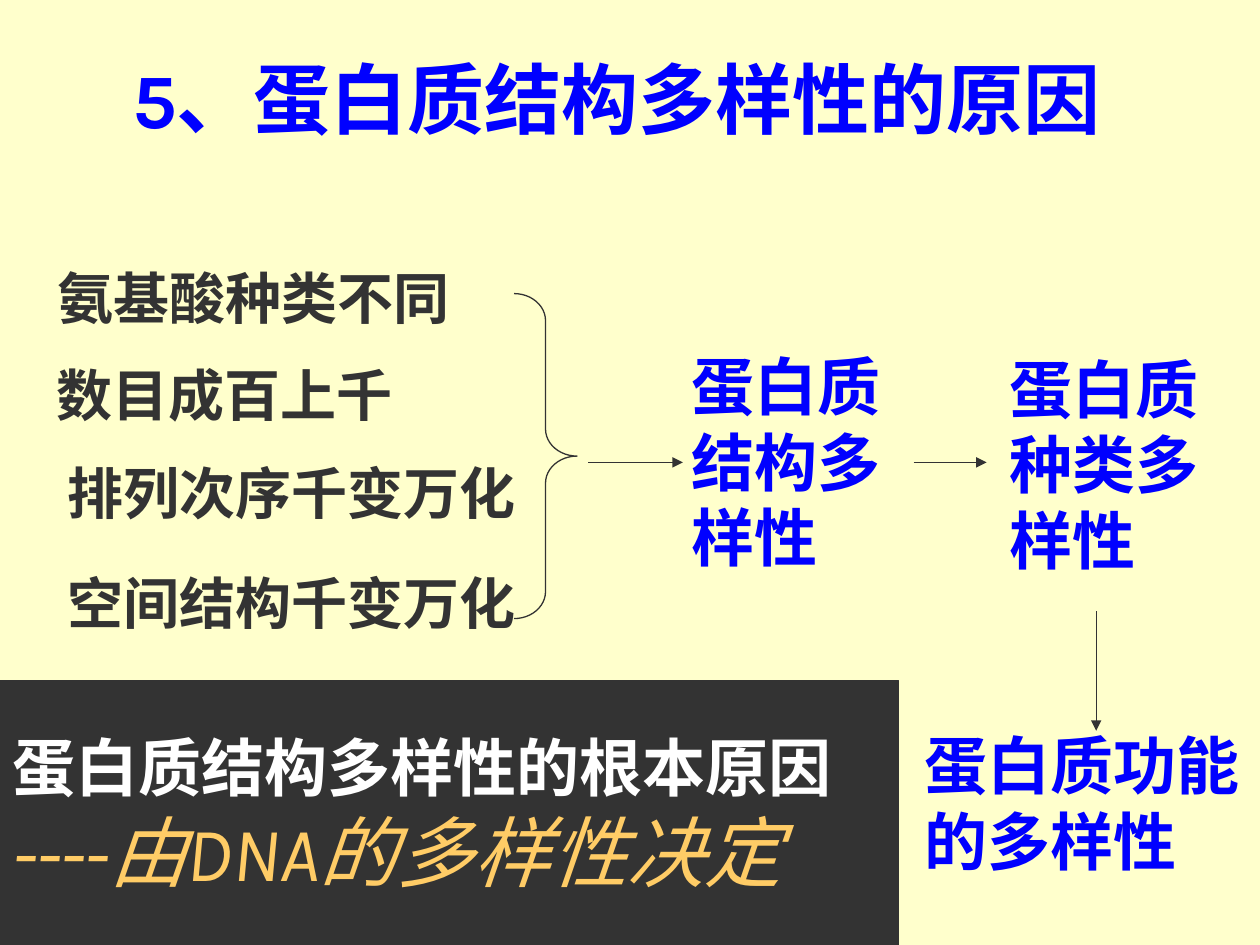
from dataclasses import dataclass
from lxml.etree import SubElement as Sub
from pptx import Presentation as Deck
from pptx.dml.color import RGBColor as Rgb
from pptx.enum.shapes import MSO_CONNECTOR as Conn, MSO_SHAPE as Kind
from pptx.enum.text import MSO_ANCHOR as Anchor, PP_ALIGN as Align
from pptx.oxml.ns import qn
from pptx.util import Inches, Pt


@dataclass(frozen=True)
class Theme:
    paper: str = "FFFFCC"
    ink: str = "333333"
    blue: str = "0000FF"
    white: str = "FFFFFF"
    gold: str = "FFCC66"
    serif: str = "Times New Roman"
    sans: str = "Karla"
    cjk: str = "Noto Sans CJK SC"
    head: int = 44
    mid: int = 36
    item: int = 32
    line: float = 0.75


class Board:
    def __init__(self, slide, theme):
        self.slide, self.theme = slide, theme
        fill = slide.background.fill
        fill.solid()
        fill.fore_color.rgb = Rgb.from_string(theme.paper)

    def style(self, para, text, size, tint, face, bold=True, slant=False):
        para.text = text
        para.alignment = Align.LEFT
        font = para.font
        font.size, font.name = Pt(size), face
        font.bold, font.italic = bold, slant
        font.color.rgb = Rgb.from_string(tint)

    def text(self, box, text, size, tint, face, indent=0):
        frame = self.slide.shapes.add_textbox(*map(Inches, box)).text_frame
        frame.word_wrap = True
        para = frame.paragraphs[0]
        self.style(para, text, size, tint, face)
        if indent:
            para._p.get_or_add_pPr().set("indent", str(Inches(indent)))

    def stroke(self, item):
        item.line.color.rgb = Rgb.from_string(self.theme.ink)
        item.line.width = Pt(self.theme.line)

    def shape(self, kind, box):
        item = self.slide.shapes.add_shape(kind, *map(Inches, box))
        item.shadow.inherit = False
        self.stroke(item)
        return item

    def brace(self, box, curve):
        item = self.shape(Kind.RIGHT_BRACE, box)
        item.fill.background()
        item.adjustments[0] = curve

    def panel(self, box, lines):
        item = self.shape(Kind.RECTANGLE, box)
        item.fill.solid()
        item.fill.fore_color.rgb = Rgb.from_string(self.theme.ink)
        frame = item.text_frame
        frame.word_wrap = True
        frame.vertical_anchor = Anchor.MIDDLE
        for num, line in enumerate(lines):
            para = frame.add_paragraph() if num else frame.paragraphs[0]
            self.style(para, *line)

    def arrow(self, *ends):
        item = self.slide.shapes.add_connector(Conn.STRAIGHT, *map(Inches, ends))
        self.stroke(item)
        Sub(item.line._get_or_add_ln(), qn("a:tailEnd"), type="triangle")
        Sub(item._element.spPr, qn("a:effectLst"))


def main():
    deck = Deck()
    deck.slide_width, deck.slide_height = Inches(10), Inches(7.5)
    look = Theme()
    board = Board(deck.slides.add_slide(deck.slide_layouts[6]), look)

    board.text((0.8, 0.36, 8.1, 0.84), "5、蛋白质结构多样性的原因",
               look.head, look.blue, look.sans, indent=0.15)

    causes = [(0.36, 2.04, "氨基酸种类不同"), (0.35, 2.81, "数目成百上千"),
              (0.44, 3.59, "排列次序千变万化"), (0.44, 4.46, "空间结构千变万化")]
    for left, top, text in causes:
        board.text((left, top, 3.9, 0.64), text, look.item, look.ink, look.serif)

    board.brace((4.08, 2.33, 0.5, 2.58), 0.43)

    results = [((5.39, 2.71, 2.05, 1.9), "蛋白质结构多样性"),
               ((7.91, 2.73, 1.81, 1.9), "蛋白质种类多样性"),
               ((7.24, 5.72, 2.76, 1.3), "蛋白质功能的多样性")]
    for box, text in results:
        board.text(box, text, look.mid, look.blue, look.serif)

    for ends in [(4.67, 3.67, 5.42, 3.67), (7.25, 3.67, 7.83, 3.67),
                 (8.7, 4.85, 8.7, 5.8)]:
        board.arrow(*ends)

    board.panel((0, 5.4, 7.13, 2.1), [
        ("蛋白质结构多样性的根本原因", look.mid, look.white, look.cjk),
        ("----由DNA的多样性决定", look.head, look.gold, look.sans, False, True)])

    deck.save("out.pptx")


if __name__ == "__main__":
    main()
